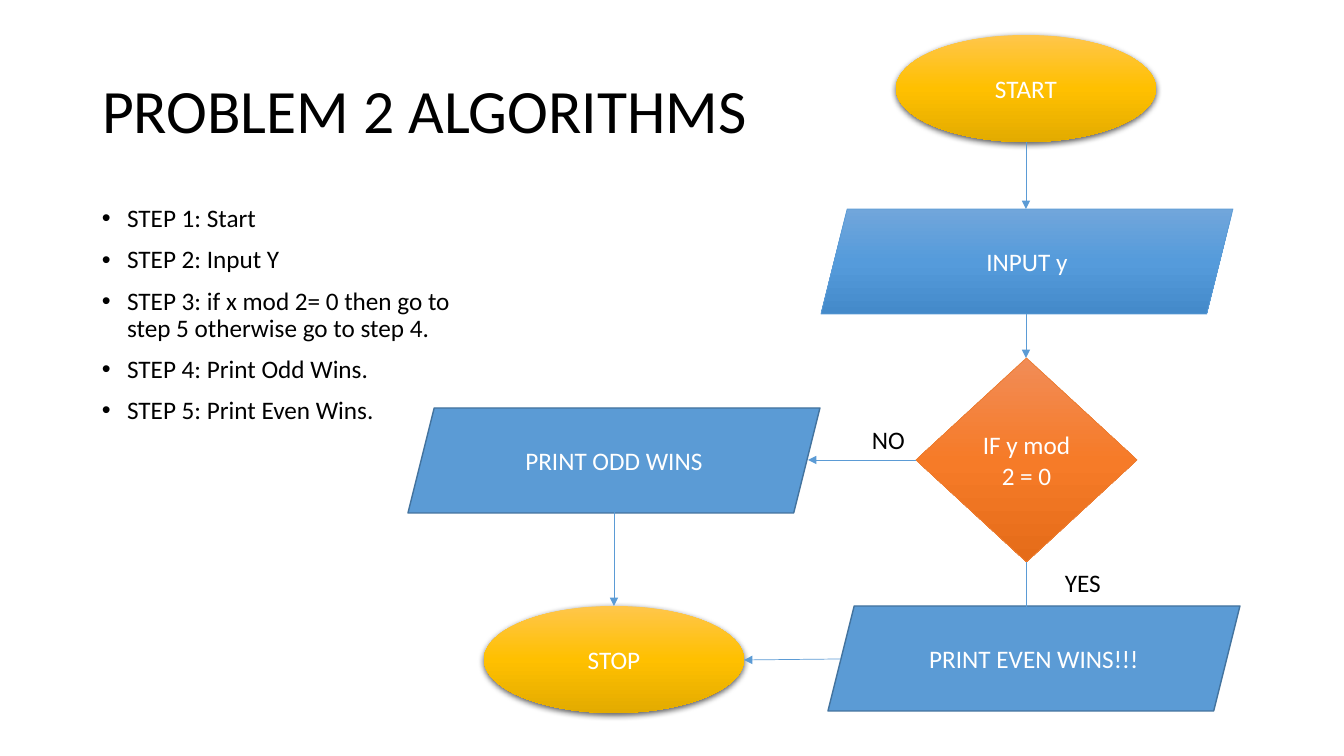
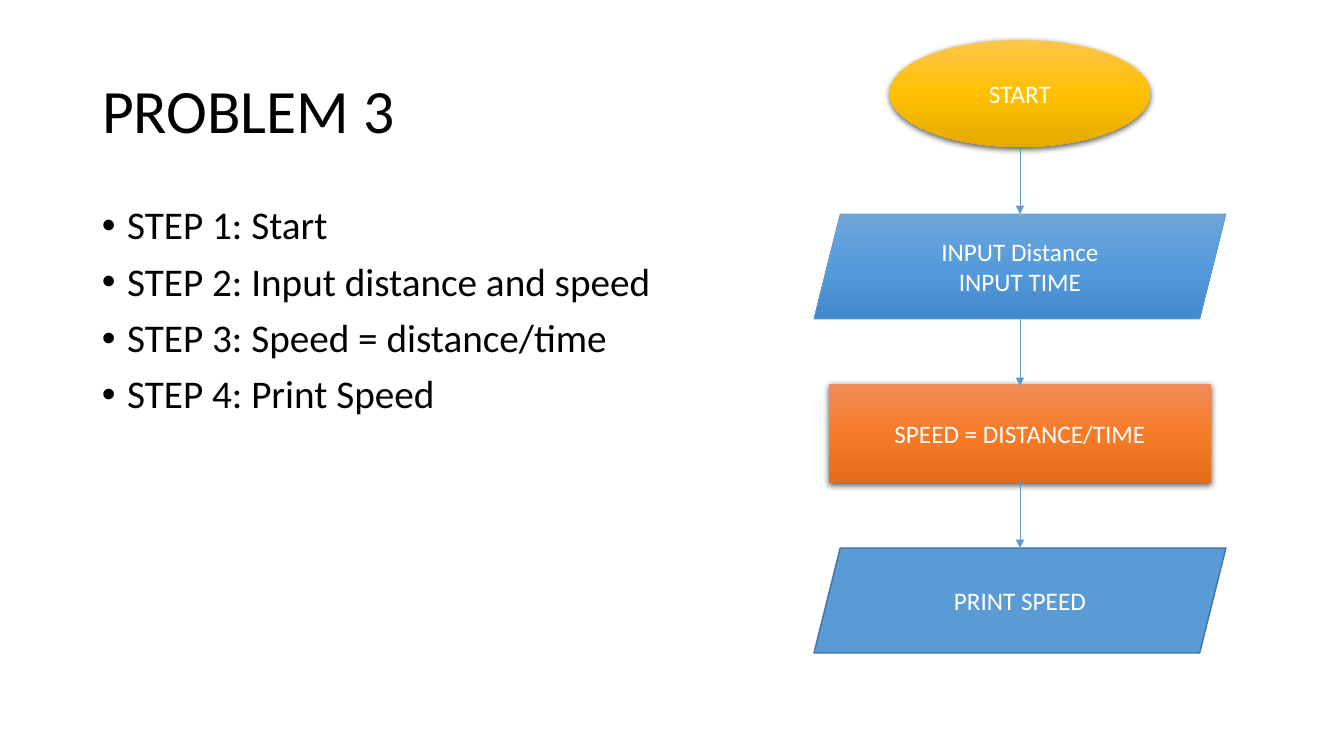
import copy
import pptx
import pptx.util
import pptx.dml.color
import pptx.enum.shapes
import pptx.enum.text
import pptx.oxml
import pptx.oxml.ns

PX = 914400 / 100.8
FONT = "Calibri"
COLORS = {
    "text": "000000", "light": "FFFFFF", "blue": "5B9BD5",
    "edge": "43739E", "orange": "ED7D31",
}
NS = pptx.oxml.ns.nsdecls("a")
qn = pptx.oxml.ns.qn
rgb = pptx.dml.color.RGBColor.from_string
MSO = pptx.enum.shapes.MSO_SHAPE

SHADOW = (f'<a:outerShdw {NS} blurRad="57150" dist="19050" dir="5400000" algn="ctr" '
          'rotWithShape="0"><a:srgbClr val="000000"><a:alpha val="63000"/></a:srgbClr>'
          '</a:outerShdw>')

# Node kinds: preset, size, fill colours, line (colour, width), shadow
GOLD = ["FFC64B", "FFC000", "E3AB00"]
SKY = ["71A6DB", "559BDB", "448ACA"]
AMBER = ["F18C57", "F67B28", "E56C19"]
KINDS = {
    "terminal": (MSO.OVAL, (260, 107), GOLD, None, True),
    "input": (MSO.PARALLELOGRAM, (412, 105), SKY, ("blue", 0.5), False),
    "decision": (MSO.DIAMOND, (221, 204), AMBER, ("orange", 0.5), False),
    "process": (MSO.RECTANGLE, (382, 99), AMBER, None, True),
    "output": (MSO.PARALLELOGRAM, (412, 105), [COLORS["blue"]], ("edge", 1), False),
}

SLIDES = [
    {
        "title": "PROBLEM 2 ALGORITHMS",
        "steps": ["STEP 1: Start", "STEP 2: Input Y",
                  "STEP 3: if x mod 2= 0 then go to step 5 otherwise go to step 4.",
                  "STEP 4: Print Odd Wins.", "STEP 5: Print Even Wins."],
        "steps_width": 394, "steps_size": 18,
        "nodes": [("terminal", 896, 35, "START"), ("input", 821, 209, "INPUT y"),
                  ("decision", 916, 358, "IF y mod 2 = 0"),
                  ("output", 828, 606, "PRINT EVEN WINS!!!"),
                  ("output", 408, 408, "PRINT ODD WINS"), ("terminal", 484, 606, "STOP")],
        "arrows": [(1026, 142, 1026, 209), (1026, 314, 1026, 358), (1026, 562, 1026, 621),
                   (916, 460, 808, 460), (614, 512, 614, 606), (841, 659, 744, 660)],
        "labels": [("YES", 1055, 562, 56), ("NO", 862, 419, 53)],
    },
    {
        "title": "PROBLEM 3",
        "steps": ["STEP 1: Start", "STEP 2: Input distance and speed",
                  "STEP 3: Speed = distance/time", "STEP 4: Print Speed"],
        "steps_width": 1159, "steps_size": 28,
        "nodes": [("terminal", 890, 40, "START"),
                  ("input", 814, 214, "INPUT Distance\nINPUT TIME"),
                  ("process", 829, 384, "SPEED = DISTANCE/TIME"),
                  ("output", 814, 548, "PRINT SPEED")],
        "arrows": [(1020, 147, 1020, 214), (1020, 319, 1020, 386), (1020, 481, 1020, 548)],
        "labels": [],
    },
]


def px(*values):
    return [pptx.util.Emu(round(v * PX)) for v in values]


def write(tf, text, size, color):
    tf.text = text
    for p in tf.paragraphs:
        for r in p.runs:
            r.font.name = FONT
            r.font.size = pptx.util.Pt(size)
            r.font.color.rgb = rgb(COLORS[color])


prs = pptx.Presentation()
prs.slide_width, prs.slide_height = px(1344, 756)

for page in SLIDES:
    s = prs.slides.add_slide(prs.slide_layouts[5])

    # Title
    title = s.shapes.title
    title.left, title.top, title.width, title.height = px(92, 40, 1159, 147)
    tf = title.text_frame
    write(tf, page["title"], 44, "text")
    tf.vertical_anchor = pptx.enum.text.MSO_ANCHOR.MIDDLE
    tf.paragraphs[0].alignment = pptx.enum.text.PP_ALIGN.LEFT
    tf.paragraphs[0].line_spacing = 0.9

    # Bulleted steps
    tf = s.shapes.add_textbox(*px(92, 201, page["steps_width"], 480)).text_frame
    tf.word_wrap = True
    write(tf, "\n".join(page["steps"]), page["steps_size"], "text")
    for p in tf.paragraphs:
        p.line_spacing = 0.9
        p.space_before = pptx.util.Pt(10)
        pPr = p._p.get_or_add_pPr()
        pPr.set("marL", "228600")
        pPr.set("indent", "-228600")
        pPr.append(pptx.oxml.parse_xml(f'<a:buFont {NS} typeface="Arial"/>'))
        pPr.append(pptx.oxml.parse_xml(f'<a:buChar {NS} char="•"/>'))

    # Flowchart nodes
    for kind, x, y, text in page["nodes"]:
        preset, size, fills, line, shadow = KINDS[kind]
        sp = s.shapes.add_shape(preset, *px(x, y, *size))
        sp.shadow.inherit = False
        if len(fills) == 1:
            sp.fill.solid()
            sp.fill.fore_color.rgb = rgb(fills[0])
        else:
            sp.fill.gradient()
            sp.fill.gradient_angle = 270
            stops = sp._element.spPr.find(".//" + qn("a:gsLst"))
            stops.insert(1, copy.deepcopy(stops[0]))
            for i, stop in enumerate(sp.fill.gradient_stops):
                stop.position = i / 2
                stop.color.rgb = rgb(fills[i])
        if line:
            sp.line.color.rgb = rgb(COLORS[line[0]])
            sp.line.width = pptx.util.Pt(line[1])
        else:
            sp.line.fill.background()
        if shadow:
            effects = sp._element.spPr.find(qn("a:effectLst"))
            effects.append(pptx.oxml.parse_xml(SHADOW))
        write(sp.text_frame, text, 18, "light")
        for p in sp.text_frame.paragraphs:
            p.alignment = pptx.enum.text.PP_ALIGN.CENTER

    # Arrows
    for ends in page["arrows"]:
        arrow = s.shapes.add_connector(pptx.enum.shapes.MSO_CONNECTOR.STRAIGHT, *px(*ends))
        arrow.line.color.rgb = rgb(COLORS["blue"])
        arrow.line.width = pptx.util.Pt(0.5)
        arrow.line._get_or_add_ln().append(
            pptx.oxml.parse_xml(f'<a:tailEnd {NS} type="triangle"/>'))
        arrow._element.spPr.append(pptx.oxml.parse_xml(f'<a:effectLst {NS}/>'))

    # Branch labels
    for text, x, y, width in page["labels"]:
        tf = s.shapes.add_textbox(*px(x, y, width, 40)).text_frame
        tf.word_wrap = False
        write(tf, text, 18, "text")

prs.save("out.pptx")
